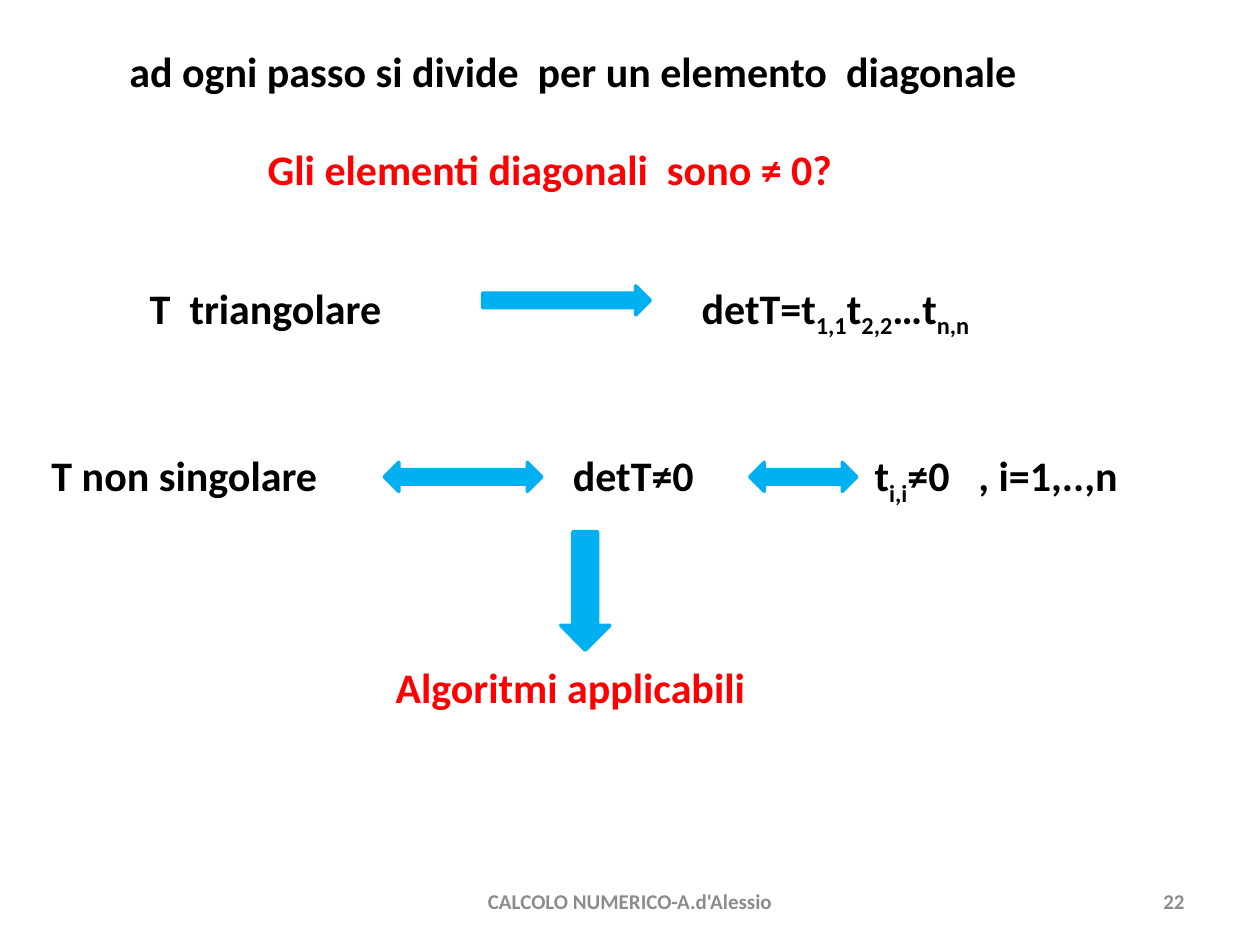
from collections import namedtuple

from pptx import Presentation
from pptx import util as u
from pptx.dml import color
from pptx.enum import shapes, text

Box = namedtuple("Box", "left top width height")
BLACK, RED, BLUE, GRAY = "000000", "FF0000", "00B0F0", "8C8C8C"
LINE_HEIGHT = 36
Arrow = shapes.MSO_SHAPE
Align = text.PP_ALIGN
Anchor = text.MSO_ANCHOR


def rgb(value):
    return color.RGBColor.from_string(value)


def place(shape, box):
    shape.left, shape.top, shape.width, shape.height = map(u.Pt, box)


def write(shape, words, size=24, ink=BLACK, align=Align.LEFT, anchor=Anchor.TOP):
    frame = shape.text_frame
    frame.word_wrap = True
    frame.auto_size = text.MSO_AUTO_SIZE.NONE
    frame.vertical_anchor = anchor
    para = frame.paragraphs[0]
    para.alignment = align
    for index, part in enumerate(words.split("|")):
        span = para.add_run()
        span.text = part
        span.font.name = "Calibri"
        span.font.size = u.Pt(size)
        span.font.bold = True
        span.font.color.rgb = rgb(ink)
        if index % 2:
            span.font._element.set("baseline", "-25000")


def add_words(page, box, words, **style):
    shape = page.shapes.add_textbox(*map(u.Pt, box))
    write(shape, words, **style)


def add_arrow(page, kind, box):
    arrow = page.shapes.add_shape(kind, *map(u.Pt, box))
    arrow.shadow.inherit = False
    arrow.fill.solid()
    arrow.fill.fore_color.rgb = rgb(BLUE)
    arrow.line.color.rgb = rgb(BLUE)
    arrow.line.width = u.Pt(2)


def add_question(page, box):
    title = page.shapes.title
    place(title, Box(box.left, box.top, box.width, LINE_HEIGHT))
    write(title, "ad ogni passo si divide  per un elemento  diagonale")
    add_words(page, Box(box.left + 79.2, box.top + 56.2, 416, LINE_HEIGHT),
              "Gli elementi diagonali  sono ≠ 0?", ink=RED)


def add_determinant(page, box):
    add_words(page, Box(box.left, box.top, 174, box.height), "T  triangolare")
    add_arrow(page, Arrow.RIGHT_ARROW,
              Box(box.left + 197.3, box.top + 5.7, 95.8, 16.6))
    add_words(page, Box(box.left + 315.4, box.top, 225, box.height),
              "detT=t|1,1|t|2,2|…t|n,n")


def add_equivalence(page, box):
    terms = [(0, 192, "T non singolare"), (298, 100, "detT≠0"),
             (470.4, 70, "t|i,i|≠0"), (529.7, 120, ", i=1,..,n")]
    for offset, width, words in terms:
        add_words(page, Box(box.left + offset, box.top, width, box.height), words)
    for offset, width in [(197.3, 90), (406.1, 61.2)]:
        add_arrow(page, Arrow.LEFT_RIGHT_ARROW,
                  Box(box.left + offset, box.top + 10.8, width, 16.6))


def add_conclusion(page, box):
    add_arrow(page, Arrow.DOWN_ARROW, Box(box.left + 101.4, box.top, 28.1, 67.7))
    add_words(page, Box(box.left, box.top + 70.6, box.width, LINE_HEIGHT),
              "Algoritmi applicabili", ink=RED)


def add_footer(page, box):
    style = dict(size=12, ink=GRAY, anchor=Anchor.MIDDLE)
    add_words(page, Box(box.left, box.top, 228, box.height),
              "CALCOLO NUMERICO-A.d'Alessio", align=Align.CENTER, **style)
    add_words(page, Box(box.left + box.width - 168, box.top, 168, box.height),
              "22", align=Align.RIGHT, **style)


def main():
    deck = Presentation()
    deck.slide_width, deck.slide_height = u.Pt(720), u.Pt(540)
    page = deck.slides.add_slide(deck.slide_layouts[5])
    add_question(page, Box(66.7, 22.3, 620, 92))
    add_determinant(page, Box(78.5, 157.7, 541, LINE_HEIGHT))
    add_equivalence(page, Box(22.3, 253.4, 650, LINE_HEIGHT))
    add_conclusion(page, Box(219, 303.8, 276, 107))
    add_footer(page, Box(246, 500.5, 438, 28.8))
    deck.save("out.pptx")


if __name__ == "__main__":
    main()
